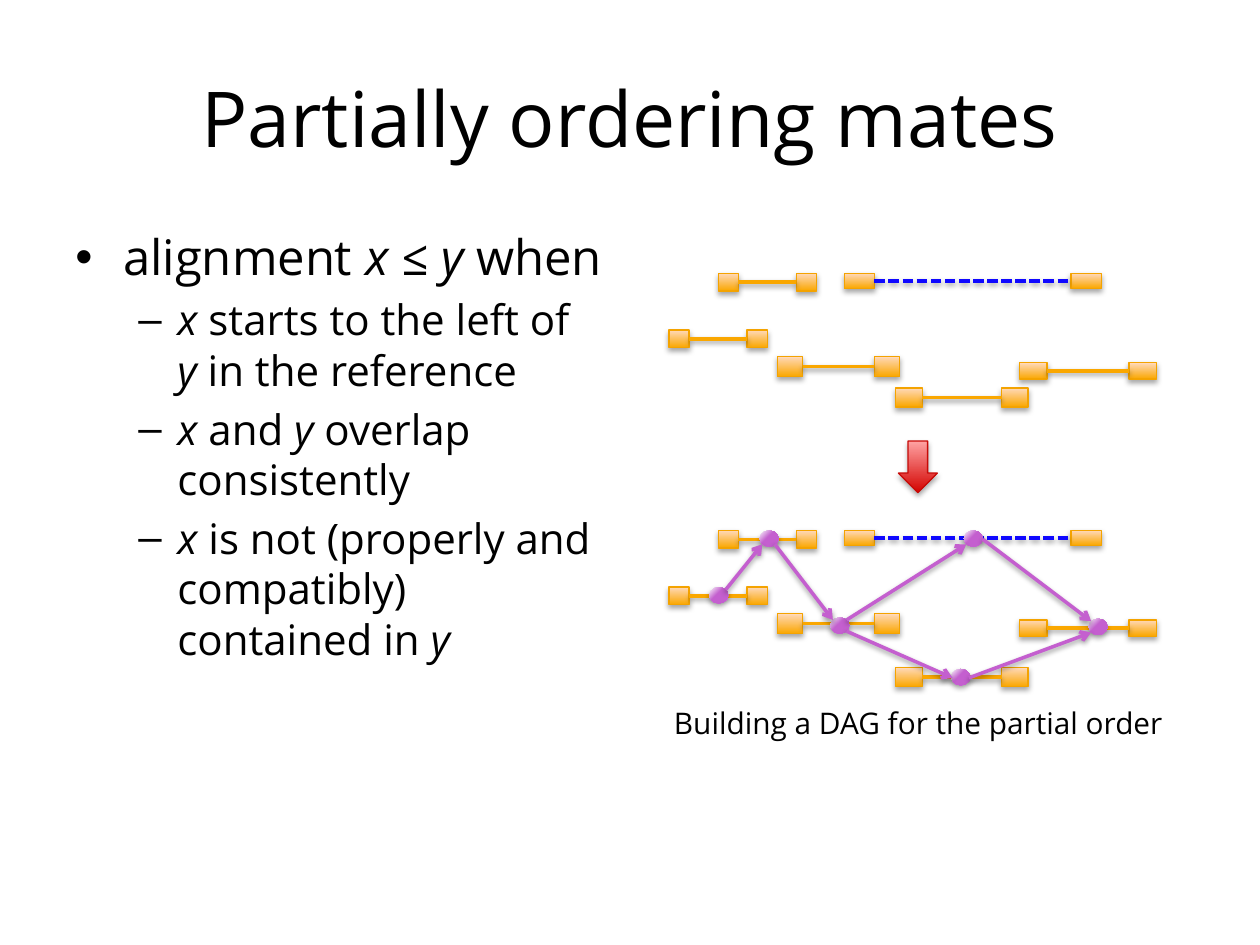
import dataclasses

import lxml.etree
import pptx
import pptx.dml.color
import pptx.enum.dml
import pptx.enum.shapes
import pptx.enum.text
import pptx.oxml.ns
import pptx.util

Inches = pptx.util.Inches
Points = pptx.util.Pt
Color = pptx.dml.color.RGBColor.from_string
Preset = pptx.enum.shapes.MSO_SHAPE
Align = pptx.enum.text.PP_ALIGN
Anchor = pptx.enum.text.MSO_ANCHOR
qualified = pptx.oxml.ns.qn


@dataclasses.dataclass(frozen=True)
class Theme:
    font: str = "Open Sans"
    title_size: int = 44
    body_size: int = 28
    detail_size: int = 24
    caption_size: int = 17
    text: str = "000000"
    read: tuple = ("FAA700", "FFD9BA")
    read_edge: str = "F4A300"
    long_link: str = "0F08FF"
    node: str = "C45FCF"
    node_light: str = "FFFFFF"
    step: tuple = ("D30300", "FFA3A3")
    step_edge: str = "C70A07"
    edge_width: float = 0.75
    link_width: float = 2


THEME = Theme()


def add_child(parent, tag, **attributes):
    child = lxml.etree.SubElement(parent, qualified(tag))
    for name, value in attributes.items():
        child.set(name, str(value))
    return child


def add_shadow(shape, opacity, distance):
    properties = shape.element.spPr
    effects = properties.find(qualified("a:effectLst"))
    if effects is None:
        effects = add_child(properties, "a:effectLst")
    shadow = add_child(effects, "a:outerShdw", blurRad=Points(3.1), dist=Points(distance),
                       dir=5400000, rotWithShape=0)
    color = add_child(shadow, "a:srgbClr", val="000000")
    add_child(color, "a:alpha", val=opacity * 1000)


def add_gradient_shape(shapes, preset, box, colors, edge=None, first_stop=0):
    shape = shapes.add_shape(preset, *map(Inches, box))
    shape.shadow.inherit = False
    shape.fill.gradient()
    shape.fill.gradient_angle = 90
    for stop, color, position in zip(shape.fill.gradient_stops, colors, (first_stop, 1)):
        stop.color.rgb = Color(color)
        stop.position = position
    if edge:
        shape.line.color.rgb = Color(edge)
        shape.line.width = Points(THEME.edge_width)
    else:
        shape.line.fill.background()
    add_shadow(shape, 35, 1.8)
    return shape


def add_link(shapes, start, end, color, dashed=False, arrow=False):
    link = shapes.add_connector(pptx.enum.shapes.MSO_CONNECTOR.STRAIGHT,
                                *map(Inches, (*start, *end)))
    link.line.color.rgb = Color(color)
    link.line.width = Points(THEME.link_width)
    if dashed:
        link.line.dash_style = pptx.enum.dml.MSO_LINE.SQUARE_DOT
        dash = link.element.spPr.find(".//" + qualified("a:prstDash"))
        dash.set("val", "sysDash")
    if arrow:
        add_child(link.element.spPr.find(qualified("a:ln")), "a:tailEnd", type="arrow")
    add_shadow(link, 38, 1.6)


def add_text(paragraph, text, size, italic=False):
    run = paragraph.add_run()
    run.text = text
    run.font.name = THEME.font
    run.font.size = Points(size)
    run.font.italic = italic
    run.font.color.rgb = Color(THEME.text)


def add_text_frame(slide, box, anchor=Anchor.TOP, top_margin=0.05):
    frame = slide.shapes.add_textbox(*map(Inches, box)).text_frame
    frame.word_wrap = True
    frame.vertical_anchor = anchor
    frame.margin_top = Inches(top_margin)
    return frame


def add_centered(slide, box, text, size, **frame_format):
    paragraph = add_text_frame(slide, box, **frame_format).paragraphs[0]
    paragraph.alignment = Align.CENTER
    add_text(paragraph, text, size)


def add_bullets(slide, box, items):
    levels = ((0.38, 0.38, "•", THEME.body_size), (0.81, 0.31, "–", THEME.detail_size))
    frame = add_text_frame(slide, box)
    for index, (level, parts) in enumerate(items):
        paragraph = frame.paragraphs[0] if index == 0 else frame.add_paragraph()
        margin, hanging, mark, size = levels[level]
        paragraph.level = level
        paragraph.space_before = Points(size * 0.2)
        properties = paragraph._p.get_or_add_pPr()
        properties.set("marL", str(Inches(margin)))
        properties.set("indent", str(-Inches(hanging)))
        add_child(properties, "a:buFont", typeface="Arial")
        add_child(properties, "a:buChar", char=mark)
        for text, italic in parts:
            if text == "\n":
                paragraph.add_line_break()
            else:
                add_text(paragraph, text, size, italic)


def add_mates(shapes, left, top, last_drop=0):
    mates = (
        (0, 0.45, 0.16, 0.14, 0.62, False),
        (0.39, 0, 0.16, 0.14, 0.62, False),
        (0.86, 0.66, 0.2, 0.16, 0.77, False),
        (1.8, 0.91 + last_drop, 0.21, 0.15, 0.84, False),
        (1.39, 0, 0.24, 0.12, 1.8, True),
        (2.78, 0.71, 0.22, 0.13, 0.87, False),
    )
    for x, y, width, height, span, dashed in mates:
        for read_x in (x, x + span):
            add_gradient_shape(shapes, Preset.RECTANGLE,
                               (left + read_x, top + y, width, height),
                               THEME.read, THEME.read_edge)
        middle = top + y + height / 2
        add_link(shapes, (left + x + width, middle), (left + x + span, middle),
                 THEME.long_link if dashed else THEME.read[0], dashed)


def add_order_graph(shapes, left, top):
    add_mates(shapes, left, top, last_drop=0.18)
    nodes = ((0.72, 0), (2.34, 0), (0.32, 0.45), (1.28, 0.69), (2.24, 1.1), (3.33, 0.7))
    for x, y in nodes:
        node = add_gradient_shape(shapes, Preset.OVAL, (left + x, top + y, 0.15, 0.13),
                                  (THEME.node, THEME.node_light), first_stop=0.56)
        gradient = node.element.spPr.find(qualified("a:gradFill"))
        gradient.remove(gradient.find(qualified("a:lin")))
        circle = add_child(gradient, "a:path", path="circle")
        add_child(circle, "a:fillToRect", l=100000, t=100000)
    edges = (
        ((0.45, 0.47), (0.74, 0.11)), ((0.84, 0.11), (1.3, 0.71)),
        ((1.41, 0.71), (2.36, 0.11)), ((2.49, 0.07), (3.35, 0.72)),
        ((1.41, 0.8), (2.25, 1.17)), ((2.38, 1.17), (3.35, 0.81)),
    )
    for start, end in edges:
        add_link(shapes, (left + start[0], top + start[1]),
                 (left + end[0], top + end[1]), THEME.node, arrow=True)


def build_slide(presentation):
    slide = presentation.slides.add_slide(presentation.slide_layouts[6])
    add_centered(slide, (5.08, 1.75, 4.42, 4.95), "Building a DAG for the partial order",
                 THEME.caption_size, top_margin=3.84)
    add_centered(slide, (0.5, 0.3, 9, 1.25), "Partially ordering mates",
                 THEME.title_size, anchor=Anchor.MIDDLE)
    add_bullets(slide, (0.5, 1.75, 4.42, 4.95), (
        (0, (("alignment ", False), ("x ≤ y ", True), ("when", False))),
        (1, (("x", True), (" starts to the left of", False), ("\n", False),
             ("y", True), (" in the reference", False))),
        (1, (("x", True), (" and ", False), ("y", True), (" overlap consistently", False))),
        (1, (("x ", True), ("is not (properly and compatibly) contained in ", False),
             ("y", True))),
    ))
    add_order_graph(slide.shapes, 5.31, 4.21)
    add_mates(slide.shapes.add_group_shape().shapes, 5.31, 2.17)
    add_gradient_shape(slide.shapes, Preset.DOWN_ARROW, (7.13, 3.5, 0.31, 0.41),
                       THEME.step, THEME.step_edge)


presentation = pptx.Presentation()
presentation.slide_width = Inches(10)
presentation.slide_height = Inches(7.5)
build_slide(presentation)
presentation.save("out.pptx")
